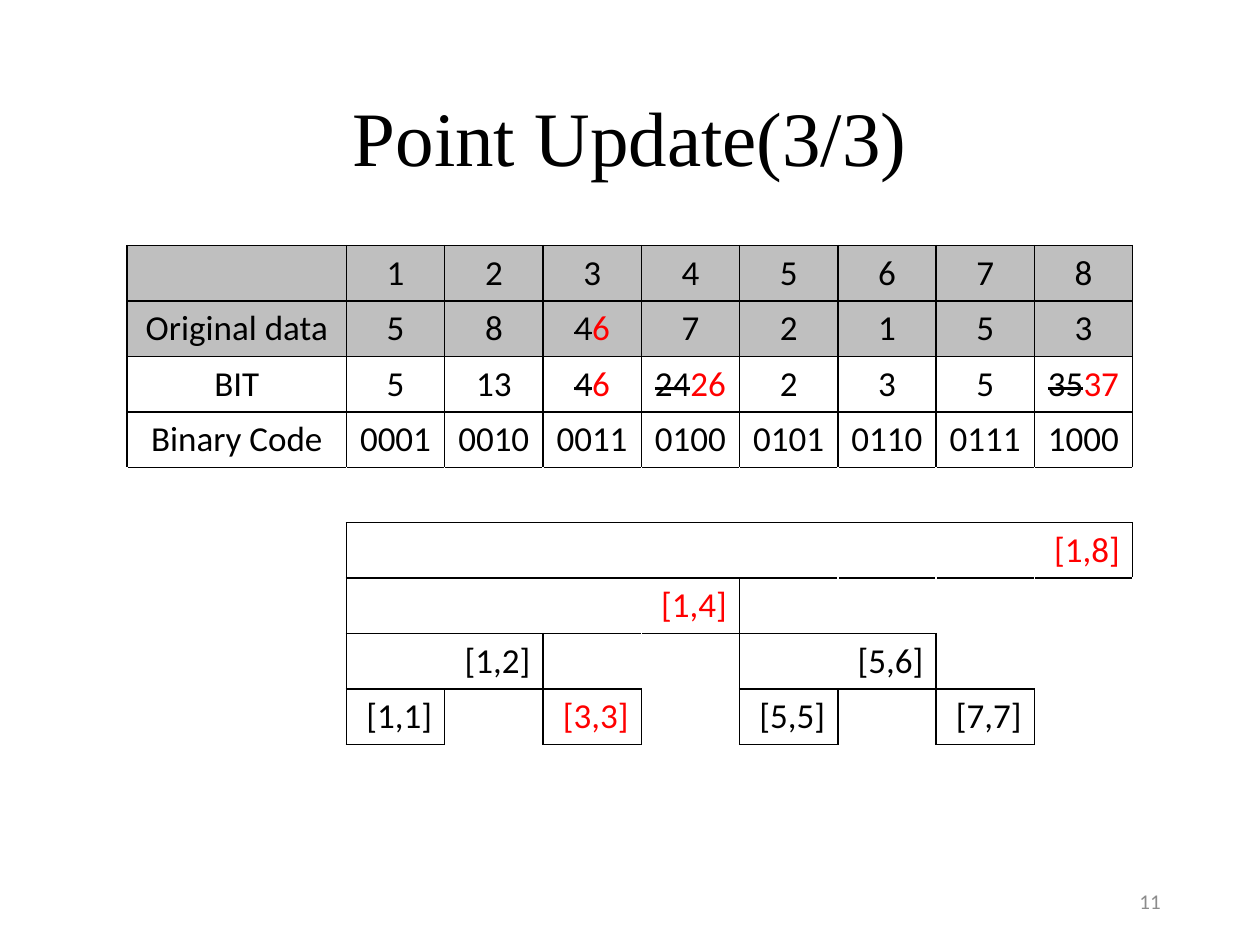
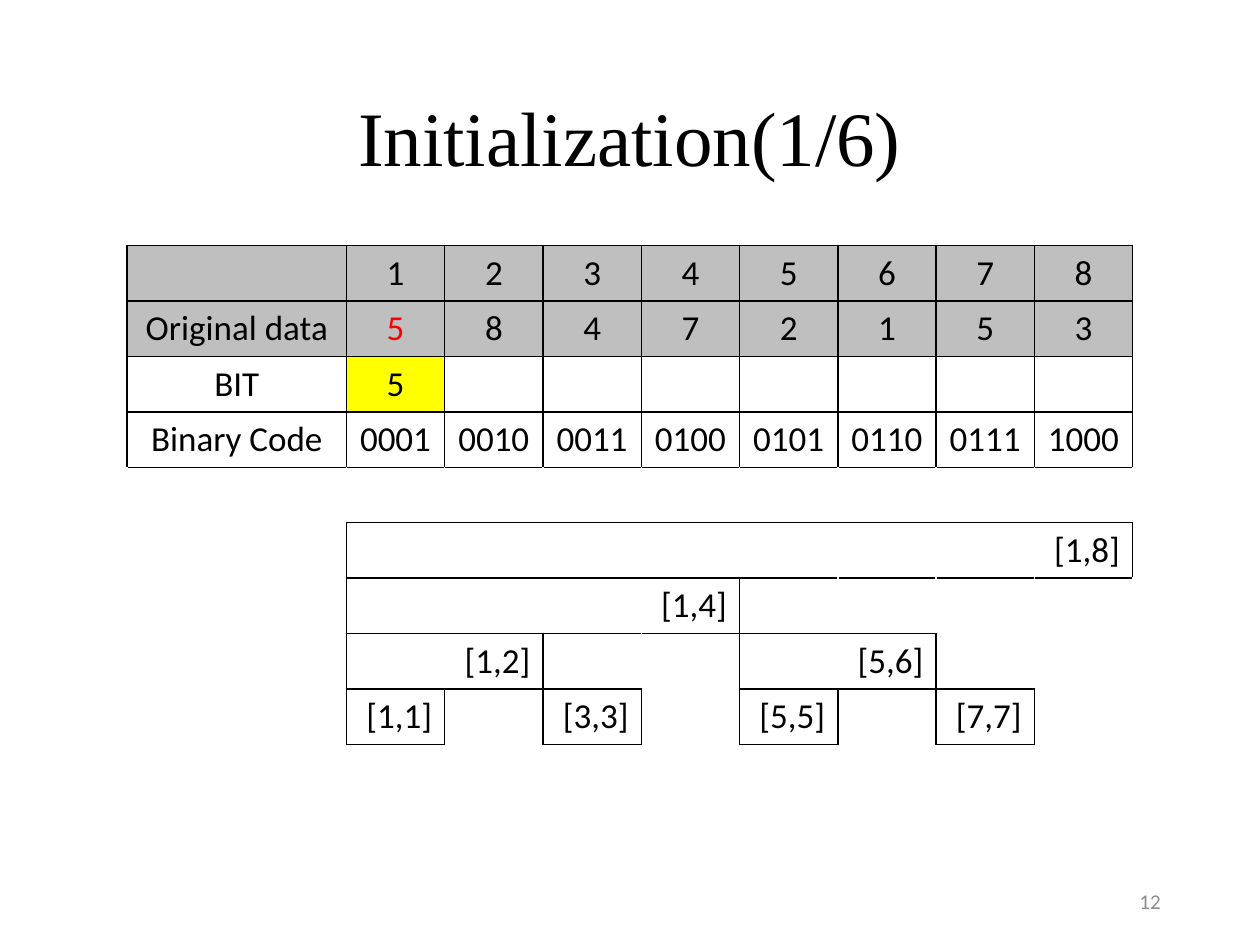
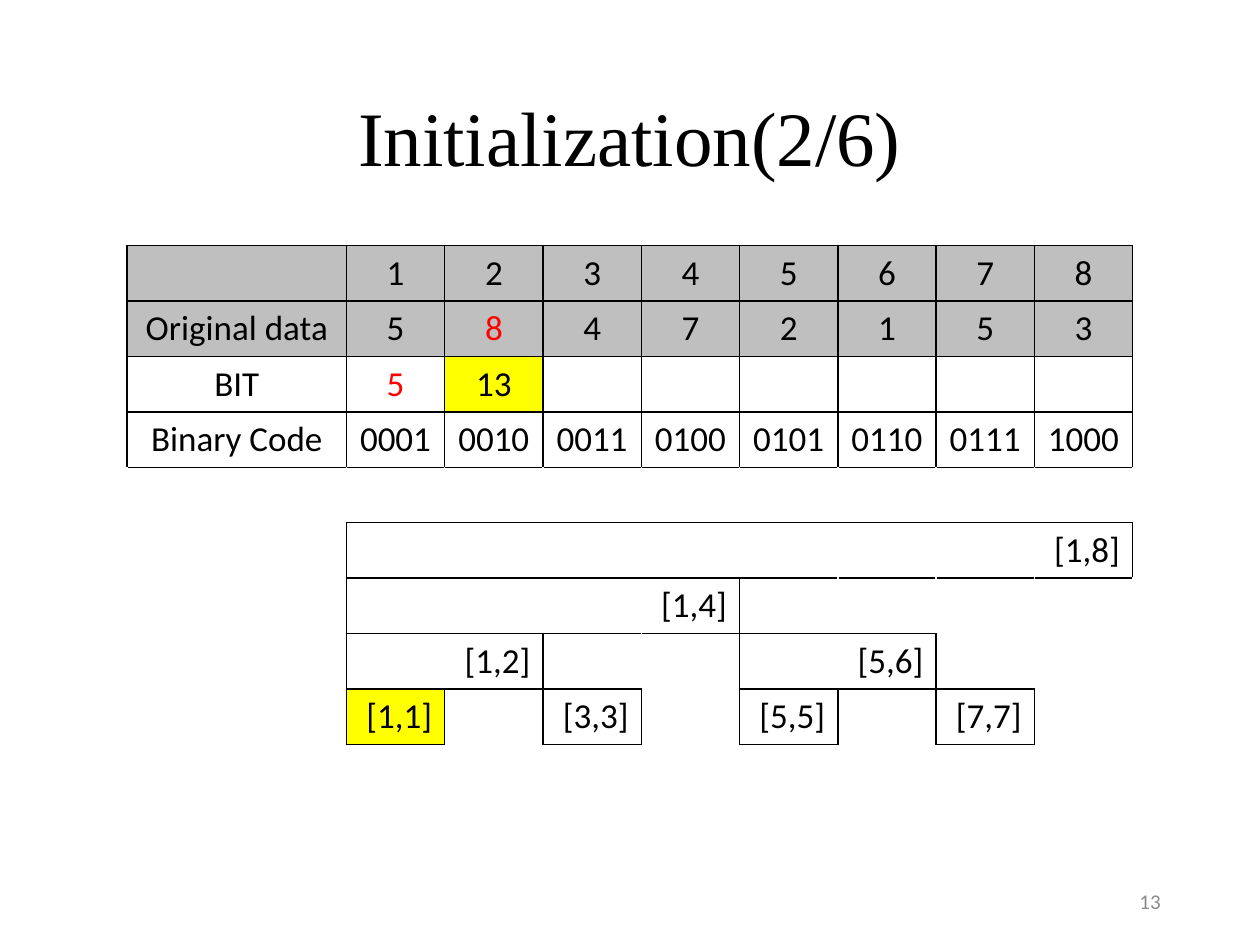
import pptx
import pptx.dml.color
import pptx.enum.text
import pptx.oxml.ns
import pptx.util
from lxml import etree

Inches = pptx.util.Inches
Pt = pptx.util.Pt
RGBColor = pptx.dml.color.RGBColor
ALIGN = pptx.enum.text.PP_ALIGN
MIDDLE = pptx.enum.text.MSO_ANCHOR.MIDDLE

# Colours and fonts
BLACK = RGBColor(0x00, 0x00, 0x00)
WHITE = RGBColor(0xFF, 0xFF, 0xFF)
RED = RGBColor(0xFF, 0x00, 0x00)
YELLOW = RGBColor(0xFF, 0xFF, 0x00)
HEADER_GRAY = RGBColor(0xBF, 0xBF, 0xBF)
NUMBER_GRAY = RGBColor(0x8C, 0x8C, 0x8C)
TITLE_FONT = "Times New Roman"
BODY_FONT = "Calibri"

# Table layout: four data rows, a spacer row, then one row per interval size
SIZE = 8
DATA_ROWS = 4
DATA_ROW, BIT_ROW = 1, 2
TREE_TOP = 5
INTERVAL_SIZES = (8, 4, 2, 1)
ROWS = TREE_TOP + len(INTERVAL_SIZES)
COLUMNS = SIZE + 1
LABEL_WIDTH, VALUE_WIDTH, ROW_HEIGHT = 1.74, 0.78, 0.44
SIDES = {"L": (0, -1), "R": (0, 1), "T": (-1, 0), "B": (1, 0)}

# Intervals as (row, first column, last column)
INTERVALS = [
    (TREE_TOP + level, first, first + size - 1)
    for level, size in enumerate(INTERVAL_SIZES)
    for first in range(1, SIZE + 1, 2 * size)
]


def is_boxed(row, column):
    if 0 <= row < DATA_ROWS:
        return 0 <= column < COLUMNS
    return any(row == tree_row and first <= column <= last
               for tree_row, first, last in INTERVALS)


class Deck:
    """Holds the shared style and the current slide."""

    def __init__(self):
        self.presentation = pptx.Presentation()
        self.presentation.slide_width = Inches(10)
        self.presentation.slide_height = Inches(7.5)
        self.slide = None

    def add_slide(self, title, number):
        layout = self.presentation.slide_layouts[5]
        self.slide = self.presentation.slides.add_slide(layout)
        self.title(title)
        self.slide_number(number)

    def style_paragraph(self, paragraph, alignment, font, size, color):
        paragraph.alignment = alignment
        for run in paragraph.runs:
            run.font.name = font
            run.font.size = Pt(size)
            run.font.color.rgb = color

    def title(self, text):
        shape = self.slide.shapes.title
        shape.left, shape.top = Inches(0.69), Inches(0.4)
        shape.width, shape.height = Inches(8.62), Inches(1.45)
        shape.text_frame.text = text
        shape.text_frame.vertical_anchor = MIDDLE
        paragraph = shape.text_frame.paragraphs[0]
        paragraph.line_spacing = 0.9
        self.style_paragraph(paragraph, ALIGN.CENTER, TITLE_FONT, 44, BLACK)

    def slide_number(self, number):
        shape = self.slide.shapes.add_textbox(
            Inches(7.06), Inches(6.95), Inches(2.25), Inches(0.4))
        shape.text_frame.text = str(number)
        shape.text_frame.word_wrap = True
        shape.text_frame.vertical_anchor = MIDDLE
        self.style_paragraph(shape.text_frame.paragraphs[0], ALIGN.RIGHT,
                             BODY_FONT, 12, NUMBER_GRAY)

    def border(self, cell, side, color):
        properties = cell._tc.get_or_add_tcPr()
        qn = pptx.oxml.ns.qn
        line = etree.SubElement(properties, qn(f"a:ln{side}"), w=str(Pt(1)))
        fill = etree.SubElement(line, qn("a:solidFill"))
        etree.SubElement(fill, qn("a:srgbClr"), val=str(color))

    def cell_text(self, cell, content, alignment, color):
        """Write a value, or an (old, new) pair with the old one struck out."""
        cell.vertical_anchor = MIDDLE
        paragraph = cell.text_frame.paragraphs[0]
        replaced = isinstance(content, tuple)
        paragraph.text = str(content[0] if replaced else content)
        if replaced:
            paragraph.add_run().text = str(content[1])
        self.style_paragraph(paragraph, alignment, BODY_FONT, 20, color)
        if replaced:
            old, new = paragraph.runs
            old.font._element.set("strike", "sngStrike")
            new.font.color.rgb = RED

    def tree_table(self, data, bit, red, yellow):
        """Draw the data rows and the interval tree; red and yellow list cells."""
        table = self.slide.shapes.add_table(
            ROWS, COLUMNS, Inches(1.01), Inches(1.95),
            Inches(LABEL_WIDTH + SIZE * VALUE_WIDTH),
            Inches(ROWS * ROW_HEIGHT)).table
        table.first_row = table.horz_banding = False
        for index, column in enumerate(table.columns):
            column.width = Inches(VALUE_WIDTH if index else LABEL_WIDTH)
        for row in table.rows:
            row.height = Inches(ROW_HEIGHT)

        # Borders and fills
        for row in range(ROWS):
            for column in range(COLUMNS):
                cell = table.cell(row, column)
                for side, (down, right) in SIDES.items():
                    edge = (is_boxed(row, column)
                            or is_boxed(row + down, column + right))
                    self.border(cell, side, BLACK if edge else WHITE)
                if (row, column) in yellow or row <= DATA_ROW:
                    cell.fill.solid()
                    cell.fill.fore_color.rgb = (
                        YELLOW if (row, column) in yellow else HEADER_GRAY)
                else:
                    cell.fill.background()

        # Data rows
        indices = range(1, SIZE + 1)
        lines = [
            ["", *indices],
            ["Original data", *data],
            ["BIT", *bit],
            ["Binary Code", *(f"{index:04b}" for index in indices)],
        ]
        for row, line in enumerate(lines):
            for column, content in enumerate(line):
                color = RED if (row, column) in red else BLACK
                self.cell_text(table.cell(row, column), content,
                               ALIGN.CENTER, color)

        # Interval tree
        for row, first, last in INTERVALS:
            cell = table.cell(row, first)
            if last > first:
                cell.merge(table.cell(row, last))
            color = RED if (row, first) in red else BLACK
            self.cell_text(cell, f"[{first},{last}]", ALIGN.RIGHT, color)


def main():
    deck = Deck()
    data = [5, 8, 4, 7, 2, 1, 5, 3]

    # Point update: index 3 changes from 4 to 6
    deck.add_slide("Point Update(3/3)", 11)
    deck.tree_table(
        data=[*data[:2], (4, 6), *data[3:]],
        bit=[5, 13, (4, 6), (24, 26), 2, 3, 5, (35, 37)],
        red={(TREE_TOP, 1), (TREE_TOP + 1, 1), (TREE_TOP + 3, 3)},
        yellow=set())

    # Initialization of index 1
    deck.add_slide("Initialization(1/6)", 12)
    deck.tree_table(data, bit=[5], red={(DATA_ROW, 1)}, yellow={(BIT_ROW, 1)})

    # Initialization of index 2
    deck.add_slide("Initialization(2/6)", 13)
    deck.tree_table(data, bit=[5, 13], red={(DATA_ROW, 2), (BIT_ROW, 1)},
                    yellow={(BIT_ROW, 2), (TREE_TOP + 3, 1)})

    deck.presentation.save("out.pptx")


if __name__ == "__main__":
    main()
